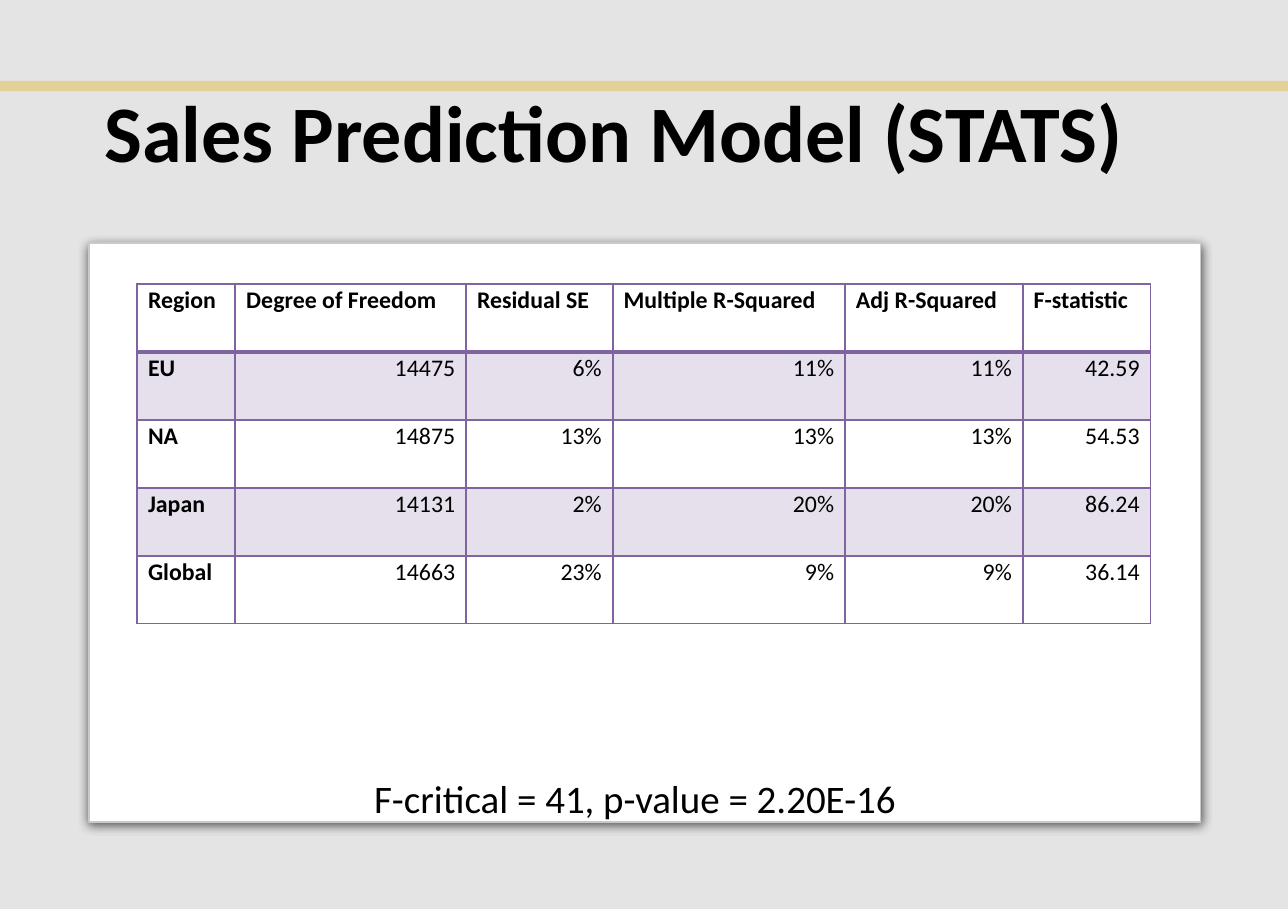
"""Build the sales prediction model statistics slide."""
from lxml.etree import SubElement
from pptx import Presentation
from pptx.dml.color import RGBColor
from pptx.enum.shapes import MSO_SHAPE
from pptx.enum.text import MSO_ANCHOR, PP_ALIGN
from pptx.oxml import parse_xml
from pptx.oxml.ns import nsdecls, qn
from pptx.util import Inches, Pt

COLORS = {
    "bar": "FFC000",
    "veil": "D9D9D9",
    "panel": "FFFFFF",
    "panel_line": "C8CACA",
    "table": "8064A2",
    "text": "000000",
}
HEADERS = ["Region", "Degree of Freedom", "Residual SE",
           "Multiple R-Squared", "Adj R-Squared", "F-statistic"]
REGIONS = [
    ["EU", "14475", "6%", "11%", "11%", "42.59"],
    ["NA", "14875", "13%", "13%", "13%", "54.53"],
    ["Japan", "14131", "2%", "20%", "20%", "86.24"],
    ["Global", "14663", "23%", "9%", "9%", "36.14"],
]
COLUMN_WEIGHTS = [0.63, 1.48, 0.94, 1.49, 1.14, 0.82]
CONTENT_LEFT, CONTENT_WIDTH = 6.9, 86.32


class StatsSlide:
    """Hold the slide and its style, with places given in percent of its size."""

    def __init__(self, presentation):
        self.width = presentation.slide_width
        self.height = presentation.slide_height
        self.font = "Calibri"
        self.slide = presentation.slides.add_slide(presentation.slide_layouts[5])

    def place(self, left, top, width, height):
        return (round(self.width * left / 100), round(self.height * top / 100),
                round(self.width * width / 100), round(self.height * height / 100))

    def paint(self, fill, color, opacity=100):
        fill.solid()
        fill.fore_color.rgb = RGBColor.from_string(COLORS[color])
        if opacity < 100:
            for color_element in fill._xPr.iter(qn("a:srgbClr")):
                SubElement(color_element, qn("a:alpha"), val=str(opacity * 1000))

    def set_text(self, text_frame, text, size, bold=False,
                 align=PP_ALIGN.LEFT, spacing=1.0):
        text_frame.text = text
        paragraph = text_frame.paragraphs[0]
        paragraph.alignment = align
        paragraph.line_spacing = spacing
        for run in paragraph.runs:
            run.font.name = self.font
            run.font.size = Pt(size)
            run.font.bold = bold
            run.font.color.rgb = RGBColor.from_string(COLORS["text"])

    def rectangle(self, box, color, opacity=100):
        shape = self.slide.shapes.add_shape(MSO_SHAPE.RECTANGLE, *self.place(*box))
        shape.shadow.inherit = False
        self.paint(shape.fill, color, opacity)
        shape.line.fill.background()

    def panel(self, box):
        shape = self.slide.shapes.add_shape(
            MSO_SHAPE.ROUNDED_RECTANGLE, *self.place(*box))
        shape.adjustments[0] = 0
        self.paint(shape.fill, "panel")
        self.paint(shape.line.fill, "panel_line")
        shape.line.width = Pt(0.75)
        shape.shadow.inherit = False
        effects = shape._element.spPr.find(qn("a:effectLst"))
        effects.append(parse_xml(
            f'<a:outerShdw {nsdecls("a")} blurRad="{Pt(4.5)}" dist="{Pt(1.5)}" '
            f'dir="5400000" algn="ctr" rotWithShape="0"><a:srgbClr '
            f'val="{COLORS["text"]}"><a:alpha val="63000"/></a:srgbClr></a:outerShdw>'))

    def title(self, text, box):
        shape = self.slide.shapes.title
        shape.left, shape.top, shape.width, shape.height = self.place(*box)
        shape.text_frame.vertical_anchor = MSO_ANCHOR.MIDDLE
        self.set_text(shape.text_frame, text, 37, bold=True, spacing=0.9)
        shape._element.getparent().append(shape._element)

    def caption(self, text, box):
        shape = self.slide.shapes.add_textbox(*self.place(*box))
        shape.text_frame.word_wrap = False
        self.set_text(shape.text_frame, text, 18)

    def borders(self, cell, top_width, bottom_width):
        properties = cell._tc.get_or_add_tcPr()
        widths = {"L": 1, "R": 1, "T": top_width, "B": bottom_width}
        for position, (side, width) in enumerate(widths.items()):
            properties.insert(position, parse_xml(
                f'<a:ln{side} {nsdecls("a")} w="{Pt(width)}"><a:solidFill>'
                f'<a:srgbClr val="{COLORS["table"]}"/></a:solidFill></a:ln{side}>'))

    def table(self, rows, weights, box):
        left, top, width, height = self.place(*box)
        table = self.slide.shapes.add_table(
            len(rows), len(weights), left, top, width, height).table
        table.first_row = table.horz_banding = False
        for column, weight in zip(table.columns, weights):
            column.width = round(width * weight / sum(weights))
        for row_index, values in enumerate(rows):
            table.rows[row_index].height = round(height / len(rows))
            for column_index, value in enumerate(values):
                cell = table.cell(row_index, column_index)
                cell.margin_left = cell.margin_right = Inches(0.07)
                cell.margin_top = cell.margin_bottom = 0
                label = row_index == 0 or column_index == 0
                self.set_text(cell.text_frame, value, 11, bold=label, spacing=1.07,
                              align=PP_ALIGN.LEFT if label else PP_ALIGN.RIGHT)
                if row_index % 2:
                    self.paint(cell.fill, "table", 20)
                else:
                    cell.fill.background()
                self.borders(cell, 2 if row_index == 1 else 1,
                             2 if row_index == 0 else 1)


def main():
    presentation = Presentation()
    presentation.slide_width = Inches(8.26)
    presentation.slide_height = Inches(5.83)
    stats = StatsSlide(presentation)
    stats.rectangle((0, 8.9, 100, 1.15), "bar")
    stats.rectangle((0, 0, 100, 100), "veil", 70)
    stats.title("Sales Prediction Model (STATS)",
                (CONTENT_LEFT, 5.32, CONTENT_WIDTH, 19.38))
    stats.panel((CONTENT_LEFT, 26.76, CONTENT_WIDTH, 63.64))
    stats.caption("F-critical = 41, p-value = 2.20E-16", (27.85, 84.39, 43.58, 6.86))
    stats.table([HEADERS] + REGIONS, COLUMN_WEIGHTS, (10.65, 31.22, 78.69, 37.39))
    presentation.save("out.pptx")


if __name__ == "__main__":
    main()
